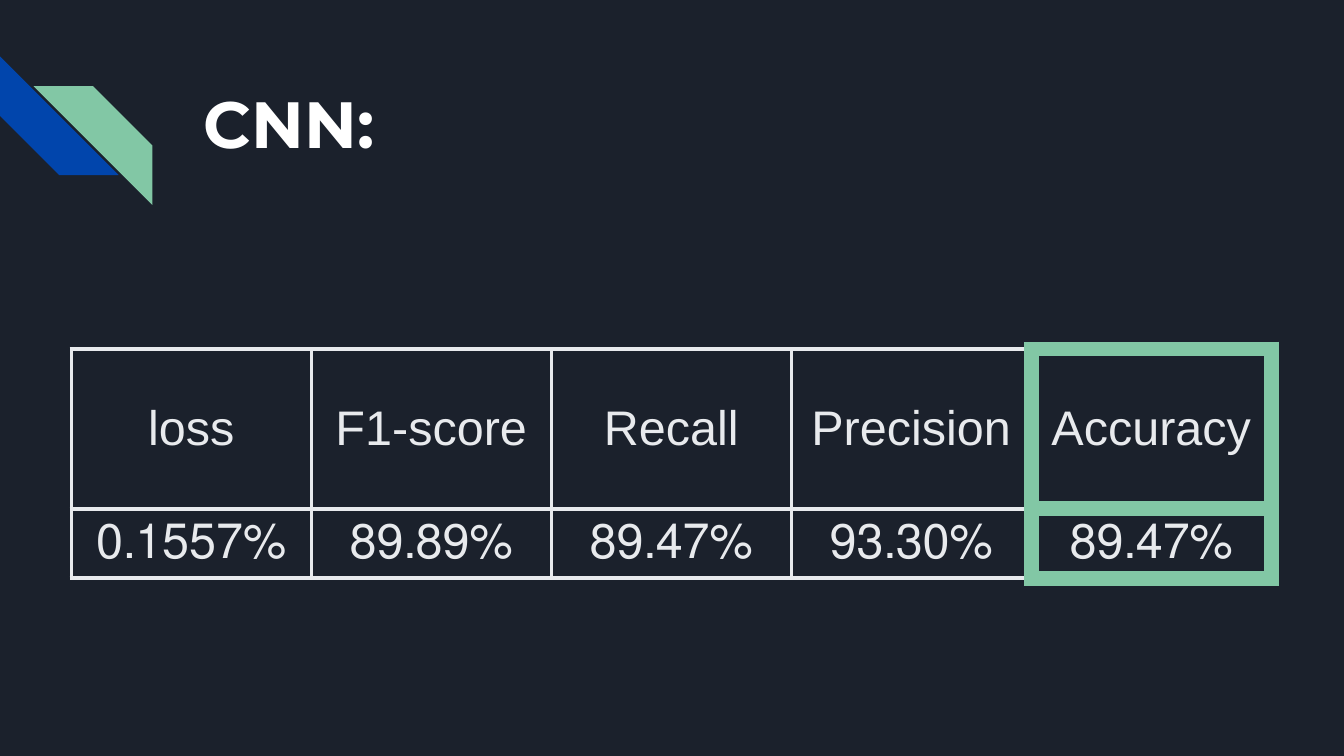
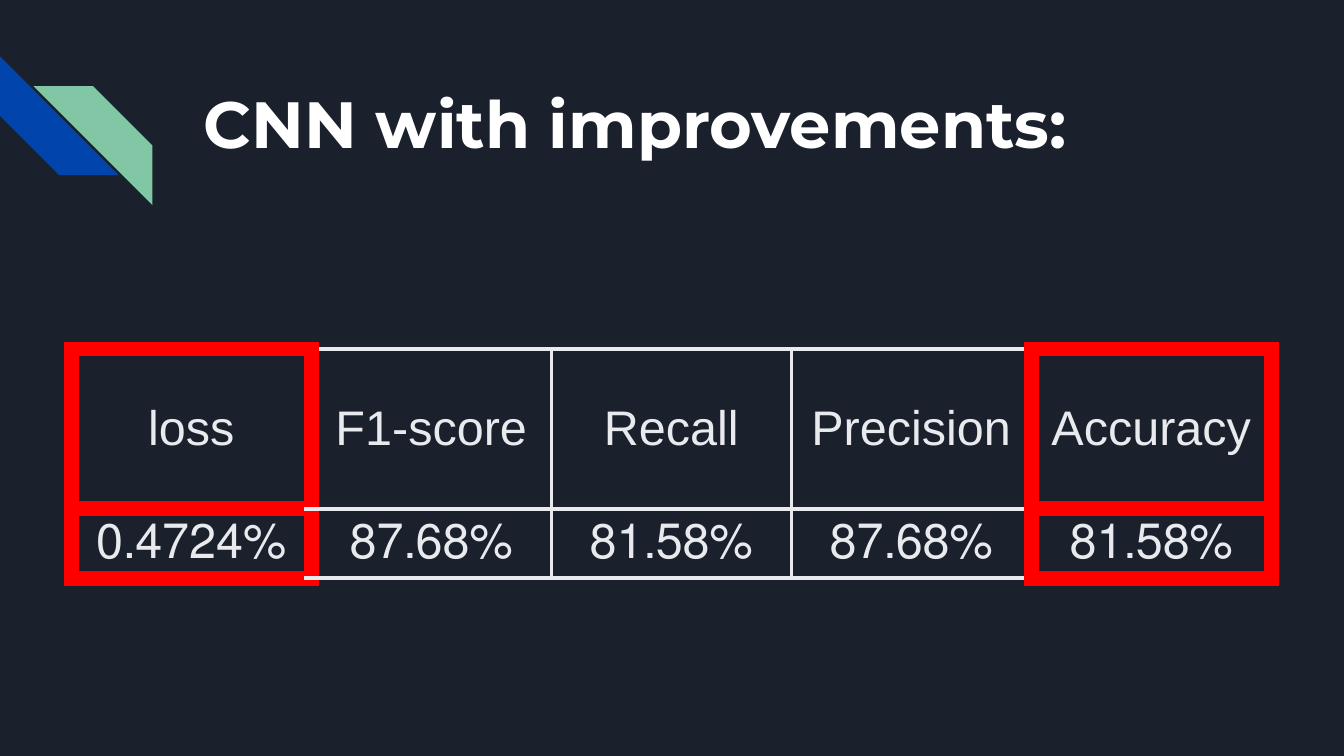
from lxml import etree
from pptx import Presentation
from pptx.dml.color import RGBColor
from pptx.enum.shapes import MSO_SHAPE
from pptx.enum.text import MSO_ANCHOR, PP_ALIGN
from pptx.oxml.ns import qn
from pptx.util import Pt

STRIPE = MSO_SHAPE.DIAGONAL_STRIPE
MIDDLE = MSO_ANCHOR.MIDDLE
CENTER = PP_ALIGN.CENTER

COLORS = {
    "back": "1B212C",
    "blue": "0145AC",
    "green": "82C7A5",
    "red": "FF0000",
    "white": "FFFFFF",
    "pale": "E8EAED",
}
HEADS = ["loss", "F1-score", "Recall", "Precision", "Accuracy"]
COL_W = 128.6
ROWS = [85.6, 36.4]
THIN, THICK = 2.25, 9


def rgb(name):
    return RGBColor.from_string(COLORS[name])


def style(para, font, size, color, bold=False):
    for run in para.runs:
        run.font.name = font
        run.font.size = Pt(size)
        run.font.bold = bold
        run.font.color.rgb = rgb(color)


def add_stripe(slide, left, top, color, turn):
    side = Pt(63.6)
    shape = slide.shapes.add_shape(STRIPE, Pt(left), Pt(top), side, side)
    shape.rotation = turn
    shape.shadow.inherit = False
    shape.fill.solid()
    shape.fill.fore_color.rgb = rgb(color)
    shape.line.fill.background()


def add_title(slide, text):
    box = slide.shapes.add_textbox(Pt(102.2), Pt(29.5), Pt(554.4), Pt(72))
    frame = box.text_frame
    frame.word_wrap = True
    frame.vertical_anchor = MIDDLE
    frame.margin_left = frame.margin_right = Pt(7.2)
    frame.margin_top = frame.margin_bottom = Pt(7.2)
    frame.text = text
    style(frame.paragraphs[0], "Montserrat", 35, "white", True)


def add_base(deck, title):
    slide = deck.slides.add_slide(deck.slide_layouts[6])
    slide.background.fill.solid()
    slide.background.fill.fore_color.rgb = rgb("back")
    add_stripe(slide, 0, 30.2, "blue", 270)
    add_stripe(slide, 18, 46.2, "green", 90)
    add_title(slide, title)
    return slide


def add_border(cell, side, color, width):
    props = cell._tc.get_or_add_tcPr()
    line = etree.SubElement(props, qn("a:ln" + side), w=str(Pt(width)))
    fill = etree.SubElement(line, qn("a:solidFill"))
    etree.SubElement(fill, qn("a:srgbClr"), val=COLORS[color])


def fill_cell(cell, text, is_value):
    cell.vertical_anchor = MIDDLE
    cell.margin_left = cell.margin_right = Pt(5)
    cell.margin_top = cell.margin_bottom = Pt(3)
    cell.text = text
    para = cell.text_frame.paragraphs[0]
    para.alignment = CENTER
    if is_value:
        para._p.get_or_add_pPr().set("rtl", "1")
    style(para, "Arial", 26, "pale")


def add_scores(slide, values, marked, accent):
    """Table of scores; the marked columns get a thick accent border."""
    count = len(HEADS)
    frame = slide.shapes.add_table(
        2, count, Pt(38.2), Pt(187), Pt(COL_W * count), Pt(sum(ROWS)))
    table = frame.table
    table.first_row = table.horz_banding = False
    for col in table.columns:
        col.width = Pt(COL_W)
    for r, texts in enumerate([HEADS, values]):
        table.rows[r].height = Pt(ROWS[r])
        for c, text in enumerate(texts):
            cell = table.cell(r, c)
            fill_cell(cell, text, r == 1)
            # A side is accented if the column on either side of it is marked
            for side, near in (("L", c - 1), ("R", c + 1), ("T", c), ("B", c)):
                if marked & {c, near}:
                    add_border(cell, side, accent, THICK)
                else:
                    add_border(cell, side, "pale", THIN)
            cell.fill.background()


def main():
    deck = Presentation()
    deck.slide_width, deck.slide_height = Pt(720), Pt(405)

    # Plain network
    slide = add_base(deck, "CNN:")
    values = ["0.1557%", "89.89%", "89.47%", "93.30%", "89.47%"]
    add_scores(slide, values, {4}, "green")

    # Improved network
    slide = add_base(deck, "CNN with improvements:")
    values = ["0.4724%", "87.68%", "81.58%", "87.68%", "81.58%"]
    add_scores(slide, values, {0, 4}, "red")

    deck.save("out.pptx")


if __name__ == "__main__":
    main()
